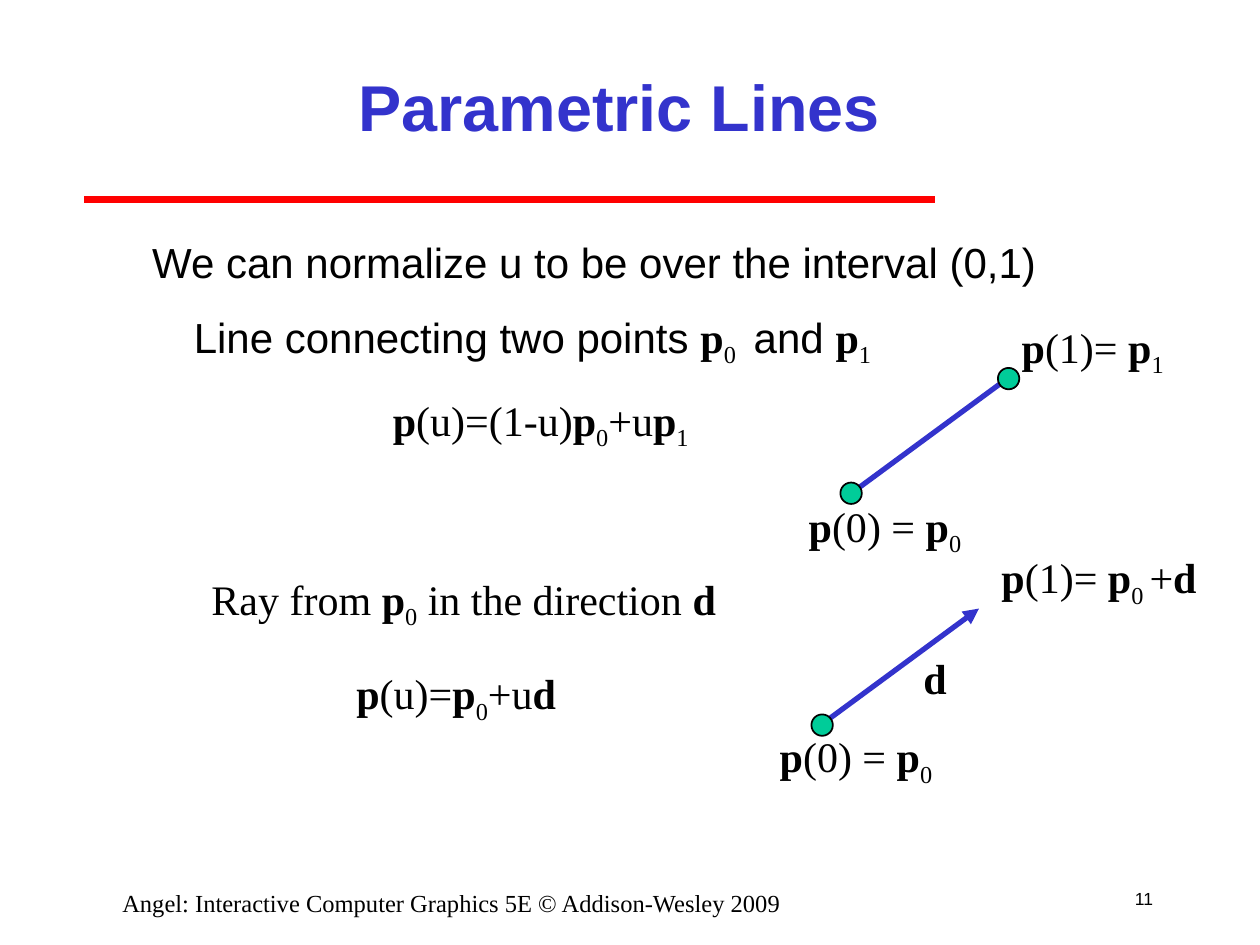
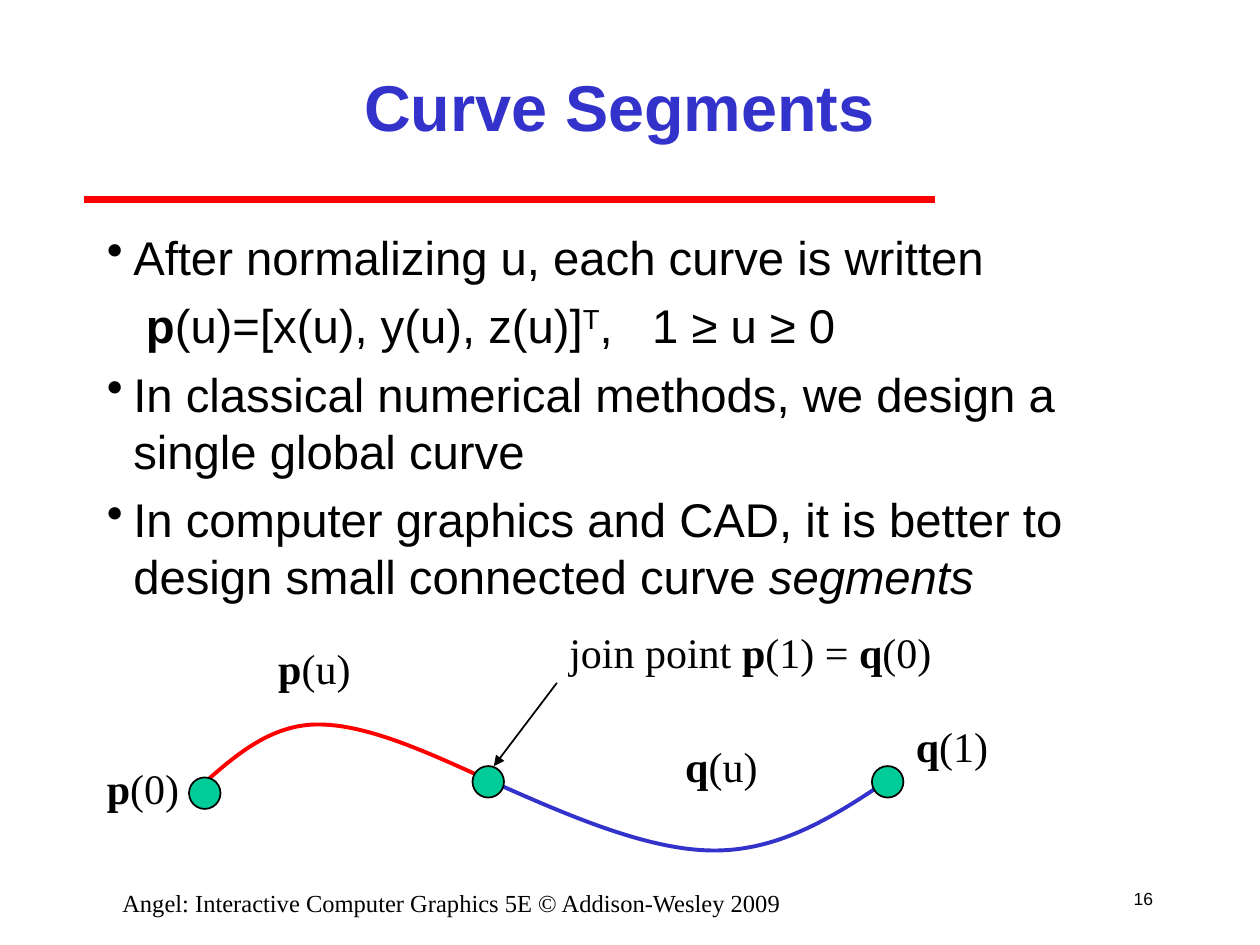
"""Build two slides on parametric lines and joined curve segments."""
from lxml.etree import SubElement
from pptx import Presentation
from pptx.dml.color import RGBColor
from pptx.enum.shapes import MSO_CONNECTOR, MSO_SHAPE
from pptx.enum.text import MSO_ANCHOR, MSO_AUTO_SIZE, PP_ALIGN
from pptx.oxml.ns import qn
from pptx.util import Inches, Pt

SANS, SERIF = "Arial", "Times New Roman"
BLACK, BLUE, RED, GREEN = "000000", "3333CC", "FF0000", "00CC99"
MARK_SETTINGS = {"_": ("baseline", "-25000"), "^": ("baseline", "30000"), "~": ("spc", "1500")}
FOOTER = "Angel: Interactive Computer Graphics 5E © Addison-Wesley 2009"


def write(para, markup, size, plain_font, marked_font=SERIF, color=BLACK):
    """Write pieces split by |, led by * bold, / italic, _ subscript, ^ superscript or ~ wide."""
    for piece in markup.split("|"):
        mark = piece[0] if piece[0] in "*/_^~" else ""
        span = para.add_run()
        span.text = piece[len(mark):]
        span.font.name = marked_font if mark else plain_font
        span.font.size = Pt(size)
        span.font.bold = mark == "*"
        span.font.italic = mark == "/"
        span.font.color.rgb = RGBColor.from_string(color)
        if mark in MARK_SETTINGS:
            span._r.get_or_add_rPr().set(*MARK_SETTINGS[mark])


def draw_line(page, start, end, color, width, arrow=False):
    """Draw a straight line, with an arrowhead at its end if asked."""
    points = [Inches(value) for value in (*start, *end)]
    line = page.shapes.add_connector(MSO_CONNECTOR.STRAIGHT, *points)
    line.line.color.rgb = RGBColor.from_string(color)
    line.line.width = Pt(width)
    properties = line._element.spPr
    if arrow:
        SubElement(properties.find(qn("a:ln")), qn("a:tailEnd"), type="triangle")
    SubElement(properties, qn("a:effectLst"))


deck = Presentation()
deck.slide_width, deck.slide_height = Inches(10), Inches(7.5)

pages = []
for heading, number in [("Parametric Lines", "11"), ("Curve Segments", "16")]:
    page = deck.slides.add_slide(deck.slide_layouts[5])
    pages.append(page)
    draw_line(page, (0.67, 1.58), (7.42, 1.58), RED, 4)

    title = page.shapes.title
    title.left, title.top = Inches(1.5), Inches(0.25)
    title.width, title.height = Inches(6.83), Inches(1.17)
    title.text_frame.auto_size = MSO_AUTO_SIZE.NONE
    title.text_frame.vertical_anchor = MSO_ANCHOR.MIDDLE
    title.text_frame.paragraphs[0].alignment = PP_ALIGN.CENTER
    write(title.text_frame.paragraphs[0], f"*{heading}", 37, SANS, SANS, BLUE)

    footer = page.shapes.add_textbox(Inches(0.5), Inches(7), Inches(6.17), Inches(0.25))
    footer.text_frame.word_wrap = True
    footer.text_frame.paragraphs[0].alignment = PP_ALIGN.CENTER
    write(footer.text_frame.paragraphs[0], FOOTER, 14, SERIF)

    number_box = page.shapes.add_textbox(Inches(8.83), Inches(6.92), Inches(0.42), Inches(0.42))
    number_box.text_frame.vertical_anchor = MSO_ANCHOR.MIDDLE
    number_box.text_frame.paragraphs[0].alignment = PP_ALIGN.RIGHT
    write(number_box.text_frame.paragraphs[0], number, 10, SANS)

lines_page, curves_page = pages

draw_line(lines_page, (6.75, 3.92), (8, 3), BLUE, 3)
draw_line(lines_page, (6.52, 5.75), (7.77, 4.83), BLUE, 3, arrow=True)

body = curves_page.shapes.add_textbox(Inches(0.75), Inches(1.76), Inches(8.5), Inches(3.2))
body.text_frame.word_wrap = True
body_lines = [
    ("After normalizing u, each curve is written", True),
    ("*p|(u)=[x(u), y(u), z(u)]|^T|,|~ |1 ≥ u ≥ 0", False),
    ("In classical numerical methods, we design a single global curve", True),
    ("In computer graphics and CAD, it is better to design small connected curve |/segments", True),
]
for index, (markup, bulleted) in enumerate(body_lines):
    para = body.text_frame.add_paragraph() if index else body.text_frame.paragraphs[0]
    properties = para._p.get_or_add_pPr()
    if bulleted:
        properties.set("marL", str(Inches(0.21)))
        properties.set("indent", str(Inches(-0.21)))
        SubElement(properties, qn("a:buChar"), char="•")
    else:
        properties.set("marL", str(Inches(0.31)))
        properties.set("indent", "0")
    para.space_before = Pt(6.8 if index else 0)
    write(para, markup, 27, SANS, SANS)

curves = [
    (RED, [(1.58, 6.25), (1.85, 6.01), (2.13, 5.76), (2.5, 5.75),
           (2.88, 5.74), (3.35, 5.95), (3.83, 6.17)]),
    (BLUE, [(3.83, 6.17), (4.48, 6.46), (5.13, 6.75), (5.67, 6.75),
            (6.21, 6.75), (6.65, 6.46), (7.08, 6.17)]),
]
for color, points in curves:
    start, *controls = [(Inches(x), Inches(y)) for x, y in points]
    builder = curves_page.shapes.build_freeform(*start)
    builder.add_line_segments(controls, close=False)
    curve = builder.convert_to_shape()
    curve.shadow.inherit = False
    curve.fill.background()
    curve.line.color.rgb = RGBColor.from_string(color)
    curve.line.width = Pt(2.25)
    outline = next(curve._element.iter(qn("a:path")))
    segments = outline.findall(qn("a:lnTo"))
    for first in range(0, len(segments), 3):
        bezier = SubElement(outline, qn("a:cubicBezTo"))
        for segment in segments[first:first + 3]:
            bezier.append(segment[0])
            outline.remove(segment)

draw_line(curves_page, (4.42, 5.42), (3.92, 6.08), BLACK, 1, arrow=True)

dots = [
    (lines_page, 0.17, [(6.67, 3.83), (7.92, 2.92), (6.44, 5.67)]),
    (curves_page, 0.25, [(3.75, 6.08), (1.5, 6.17), (6.92, 6.08)]),
]
for page, size, corners in dots:
    for left, top in corners:
        dot = page.shapes.add_shape(
            MSO_SHAPE.OVAL, Inches(left), Inches(top), Inches(size), Inches(size))
        dot.shadow.inherit = False
        dot.fill.solid()
        dot.fill.fore_color.rgb = RGBColor.from_string(GREEN)
        dot.line.color.rgb = RGBColor.from_string(BLACK)
        dot.line.width = Pt(1)

labels = [
    (lines_page, 0.56, [
        (1.11, 1.83, 7.22, SANS, "We can normalize u to be over the interval (0,1)"),
        (1.44, 2.42, 5.67, SANS, "Line connecting two points |*p|_0 | and |*p|_1"),
        (3.02, 3.08, 2.57, SERIF, "*p|(u)=(1-u)|*p|_0|+u|*p|_1"),
        (6.32, 3.92, 1.43, SERIF, "*p|(0) = |*p|_0"),
        (8.01, 2.5, 1.35, SERIF, "*p|(1)= |*p|_1"),
        (1.58, 4.5, 4.31, SERIF, "Ray from |*p|_0| in the direction |*d"),
        (2.73, 5.25, 1.81, SERIF, "*p|(u)=|*p|_0|+u|*d"),
        (6.09, 5.75, 1.43, SERIF, "*p|(0) = |*p|_0"),
        (7.85, 4.33, 1.77, SERIF, "*p|(1)= |*p|_0 |+|*d"),
        (7.23, 5.13, 0.38, SERIF, "*d"),
    ]),
    (curves_page, 0.5, [
        (2.11, 5.05, 0.8, SERIF, "*p|(u)"),
        (5.34, 5.83, 0.8, SERIF, "*q|(u)"),
        (0.75, 6, 0.8, SERIF, "*p|(0)"),
        (7.17, 5.67, 0.8, SERIF, "*q|(1)"),
        (4.42, 4.92, 3.09, SERIF, "join point |*p|(1) = |*q|(0)"),
    ]),
]
for page, height, page_labels in labels:
    for left, top, width, font, markup in page_labels:
        label = page.shapes.add_textbox(Inches(left), Inches(top), Inches(width), Inches(height))
        label.text_frame.word_wrap = False
        label.text_frame.auto_size = MSO_AUTO_SIZE.SHAPE_TO_FIT_TEXT
        write(label.text_frame.paragraphs[0], markup, 24, font)

deck.save("out.pptx")
